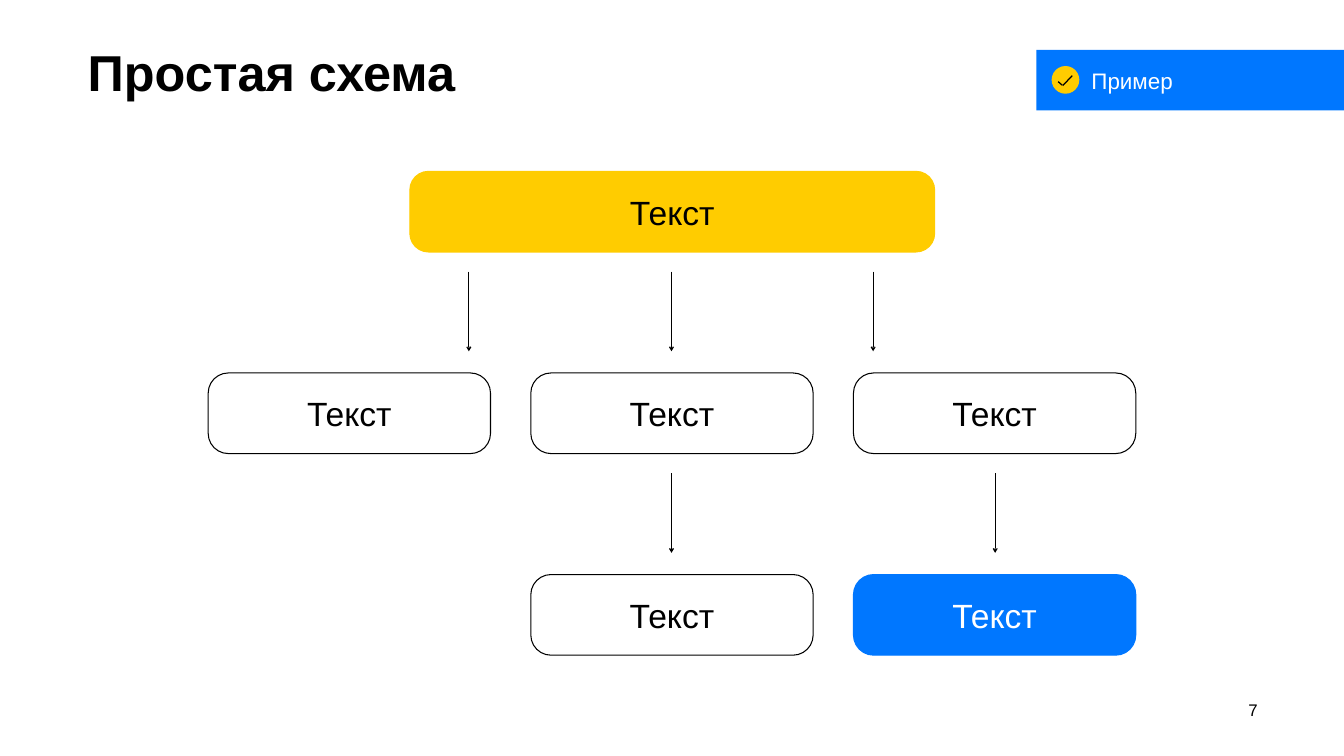
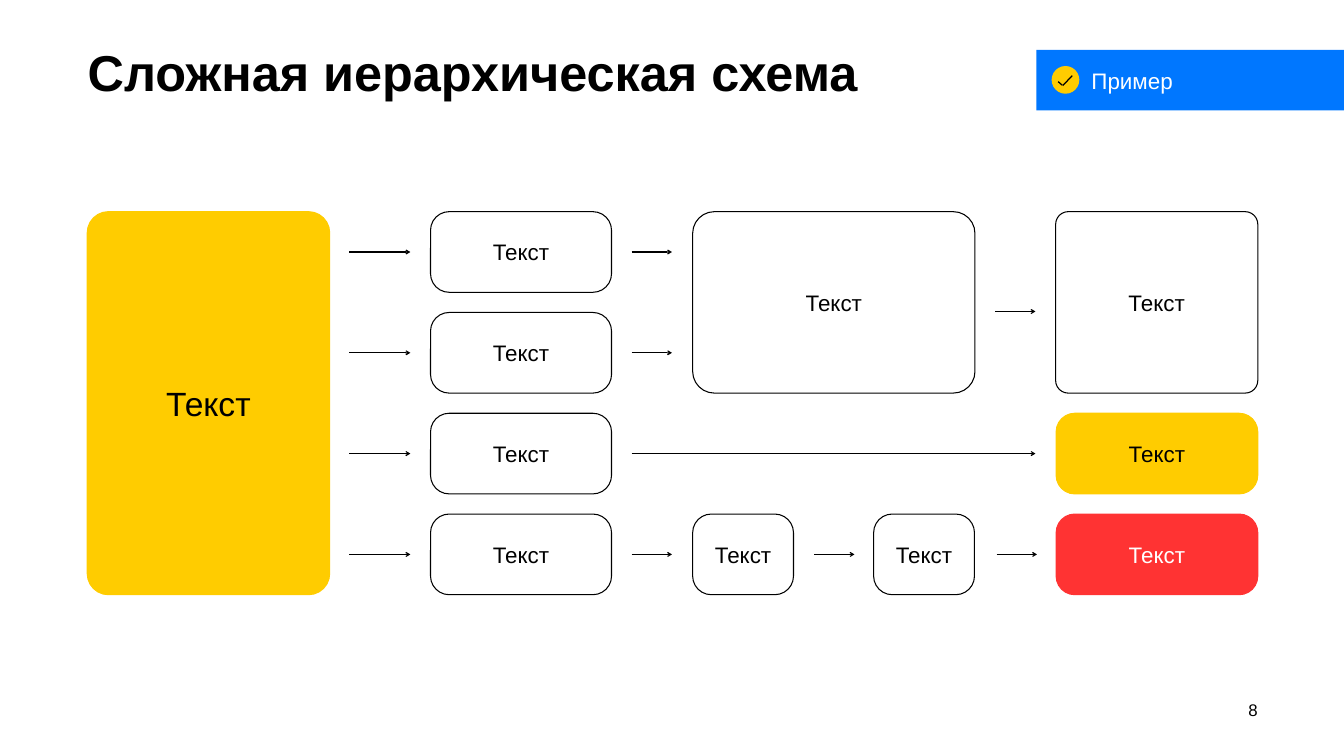
from lxml.etree import SubElement
from pptx import Presentation
from pptx.dml.color import RGBColor
from pptx.enum.shapes import MSO_CONNECTOR, MSO_SHAPE
from pptx.enum.text import MSO_ANCHOR, PP_ALIGN
from pptx.oxml.ns import qn
from pptx.util import Pt

PX = 9144  # EMU per px, 100 px to the inch
SLIDE_W, SLIDE_H = 2666, 1500

BLACK = RGBColor(0x00, 0x00, 0x00)
WHITE = RGBColor(0xFF, 0xFF, 0xFF)
YELLOW = RGBColor(0xFF, 0xCC, 0x00)
BLUE = RGBColor(0x00, 0x77, 0xFF)
RED = RGBColor(0xFF, 0x33, 0x33)

FONT = "Arial"
LABEL = "Текст"


class Deck:
    """Holds the shared style and the slide being built."""

    def __init__(self):
        self.prs = Presentation()
        self.prs.slide_width = SLIDE_W * PX
        self.prs.slide_height = SLIDE_H * PX
        self.shapes = None

    def new_slide(self, title, number):
        slide = self.prs.slides.add_slide(self.prs.slide_layouts[6])
        slide.background.fill.solid()
        slide.background.fill.fore_color.rgb = WHITE
        self.shapes = slide.shapes
        self.text_box(title, 174, 60, 2322, 159, 72, inset=22, bold=True)
        self.text_box(number, 2375, 1380, 120, 48, 24, inset=8,
                      align=PP_ALIGN.RIGHT, anchor=MSO_ANCHOR.MIDDLE)
        self.example_tag()

    def set_text(self, shape, text, size, color, insets, align, anchor, bold=False):
        frame = shape.text_frame
        frame.word_wrap = True
        frame.vertical_anchor = anchor
        (frame.margin_left, frame.margin_top,
         frame.margin_right, frame.margin_bottom) = (side * PX for side in insets)
        paragraph = frame.paragraphs[0]
        paragraph.text = text
        paragraph.alignment = align
        paragraph.font.name = FONT
        paragraph.font.size = Pt(size)
        paragraph.font.bold = bold
        paragraph.font.color.rgb = color

    def text_box(self, text, x, y, w, h, size, inset, bold=False,
                 align=PP_ALIGN.LEFT, anchor=MSO_ANCHOR.TOP):
        box = self.shapes.add_textbox(x * PX, y * PX, w * PX, h * PX)
        self.set_text(box, text, size, BLACK, (0, inset, 0, 0), align, anchor, bold)

    def shape(self, preset, x, y, w, h, fill=None, line=None):
        shape = self.shapes.add_shape(preset, x * PX, y * PX, w * PX, h * PX)
        shape.shadow.inherit = False
        if fill is None:
            shape.fill.background()
        else:
            shape.fill.solid()
            shape.fill.fore_color.rgb = fill
        if line is None:
            shape.line.fill.background()
        else:
            shape.line.color.rgb = line
            shape.line.width = Pt(1.5)
        return shape

    def node(self, x, y, w, h, size, radius, fill=None, color=BLACK, line=BLACK):
        node = self.shape(MSO_SHAPE.ROUNDED_RECTANGLE, x, y, w, h, fill, line)
        node.adjustments[0] = radius / min(w, h)
        self.set_text(node, LABEL, size, color, (10, 24, 10, 24),
                      PP_ALIGN.CENTER, MSO_ANCHOR.MIDDLE)

    def accent_node(self, x, y, w, h, size, radius, fill, color=BLACK):
        self.node(x, y, w, h, size, radius, fill, color, line=fill)

    def line(self, x1, y1, x2, y2, width=1.5):
        line = self.shapes.add_connector(
            MSO_CONNECTOR.STRAIGHT, x1 * PX, y1 * PX, x2 * PX, y2 * PX)
        line.line.color.rgb = BLACK
        line.line.width = Pt(width)
        SubElement(line._element.spPr, qn("a:effectLst"))
        return line

    def arrow(self, x1, y1, x2, y2):
        arrow = self.line(x1, y1, x2, y2)
        outline = arrow._element.spPr.find(qn("a:ln"))
        SubElement(outline, qn("a:tailEnd"), type="arrow")

    def example_tag(self):
        slide_shapes = self.shapes
        self.shapes = slide_shapes.add_group_shape().shapes
        band = self.shape(MSO_SHAPE.RECTANGLE, 2056, 99, 611, 120, BLUE)
        self.set_text(band, "Пример", 32, WHITE, (109, 24, 10, 24),
                      PP_ALIGN.LEFT, MSO_ANCHOR.MIDDLE)
        self.shape(MSO_SHAPE.OVAL, 2086, 131, 55, 55, YELLOW)
        self.line(2099, 162, 2107, 169, 1.75)
        self.line(2108, 170, 2127, 150, 1.75)
        self.shapes = slide_shapes


def simple_scheme(deck):
    deck.new_slide("Простая схема", "7")
    columns = [413 + 640 * i for i in range(3)]
    levels = [340 + 400 * i for i in range(3)]
    node_w, node_h, arrow_gap, arrow_len = 560, 160, 39, 158

    # Root and its children
    deck.accent_node(813, levels[0], 1041, node_h, 48, 37, YELLOW)
    for x in columns:
        deck.node(x, levels[1], node_w, node_h, 48, 40)

    # Last level
    deck.node(columns[1], levels[2], node_w, node_h, 48, 40)
    deck.accent_node(columns[2], levels[2], node_w, node_h, 48, 40, BLUE, WHITE)

    # Arrows below each level
    for level, centers in zip(levels, [(930, 1332, 1732), (1332, 1974)]):
        top = level + node_h + arrow_gap
        for x in centers:
            deck.arrow(x, top, x, top + arrow_len)


def complex_scheme(deck):
    deck.new_slide("Сложная иерархическая схема", "8")
    row_h, row_gap = 160, 40
    rows = [420 + (row_h + row_gap) * i for i in range(4)]
    centers = [y + row_h // 2 for y in rows]
    double_h = 2 * row_h + row_gap

    # Root and the four branches
    deck.accent_node(173, rows[0], 481, 4 * row_h + 3 * row_gap, 48, 42, YELLOW)
    for y, center in zip(rows, centers):
        deck.arrow(693, center, 814, center)
        deck.node(854, y, 359, row_h, 32, 37)

    # First two branches merge
    for center in centers[:2]:
        deck.arrow(1253, center, 1333, center)
    deck.node(1374, rows[0], 560, double_h, 32, 43)
    deck.arrow(1974, 618, 2054, 618)
    deck.node(2094, rows[0], 401, double_h, 32, 25, WHITE)

    # Third branch goes straight to its result
    deck.arrow(1253, centers[2], 2054, centers[2])
    deck.accent_node(2095, rows[2], 400, row_h, 32, 37, YELLOW)

    # Fourth branch passes two steps
    for x in (1374, 1733):
        deck.node(x, rows[3], 200, row_h, 32, 37)
    for x in (1253, 1615, 1977):
        deck.arrow(x, centers[3], x + 80, centers[3])
    deck.accent_node(2095, rows[3], 400, row_h, 32, 37, RED, WHITE)


def main():
    deck = Deck()
    simple_scheme(deck)
    complex_scheme(deck)
    deck.prs.save("out.pptx")


if __name__ == "__main__":
    main()
